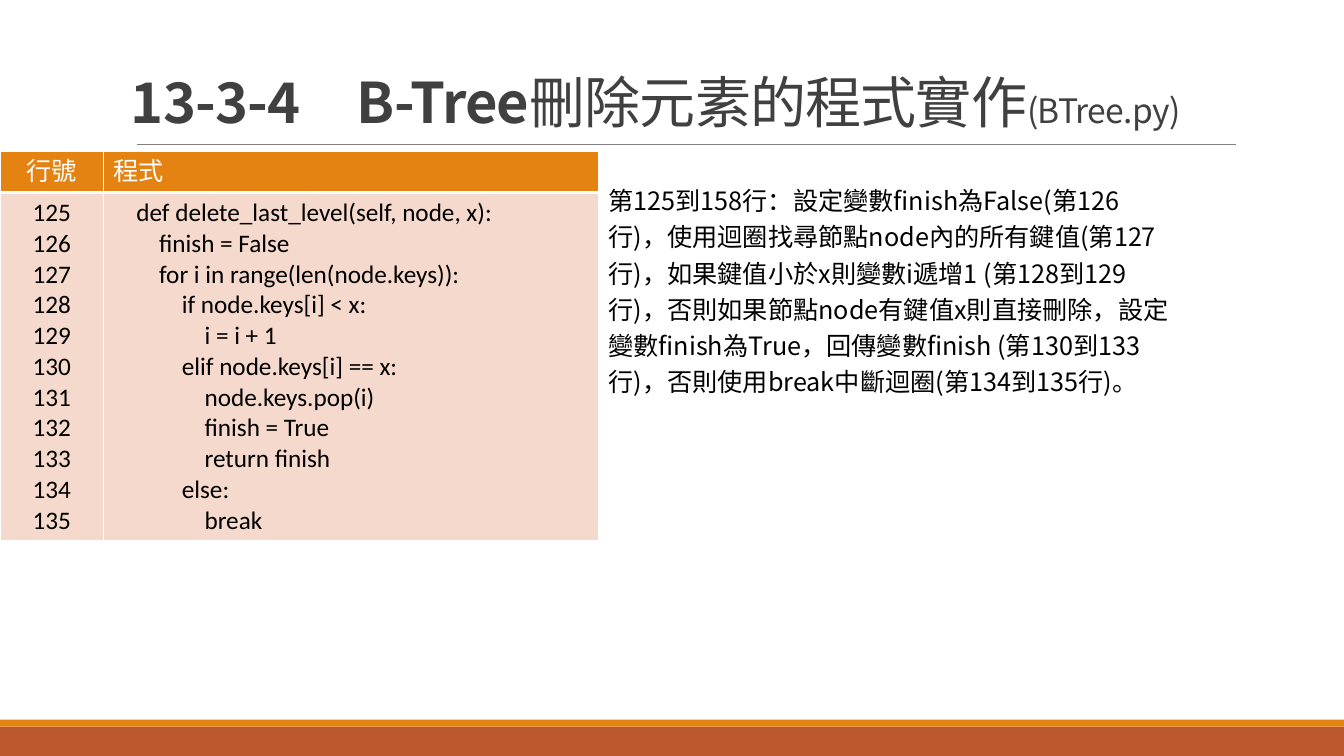
from lxml import etree
from pptx import Presentation
from pptx import util as u
from pptx.dml.color import RGBColor
from pptx.enum import shapes, text
from pptx.oxml.ns import qn

SANS = "Noto Sans CJK SC"
ORANGE, RUST, PEACH = "E48312", "BD582C", "F5D9CC"
WHITE, BLACK, GREY, DARK = "FFFFFF", "000000", "808080", "404040"
LEFT, CENTER = text.PP_ALIGN.LEFT, text.PP_ALIGN.CENTER


def color(value):
    return RGBColor.from_string(value)


class Page:
    """Holds the slide and the way its elements are styled."""

    def __init__(self, slide):
        self.shapes = slide.shapes

    def run(self, paragraph, words, ink, font=SANS, spacing=None, **formats):
        run = paragraph.add_run()
        run.text = words
        for name, value in {"name": font, "bold": False, **formats}.items():
            setattr(run.font, name, value)
        run.font.color.rgb = color(ink)
        properties = run.font._element
        etree.SubElement(properties, qn("a:ea")).set("typeface", font)
        if spacing is not None:
            properties.set("spc", str(round(spacing * 100)))

    def band(self, top, height, fill):
        band = self.shapes.add_shape(shapes.MSO_SHAPE.RECTANGLE, 0, u.Pt(top),
                                     u.Pt(960), u.Pt(height))
        band.shadow.inherit = False
        band.fill.solid()
        band.fill.fore_color.rgb = color(fill)
        band.line.fill.background()

    def rule(self, left, right, y, ink, width):
        rule = self.shapes.add_connector(shapes.MSO_CONNECTOR.STRAIGHT,
                                         u.Pt(left), u.Pt(y), u.Pt(right), u.Pt(y))
        rule.line.color.rgb = color(ink)
        rule.line.width = u.Pt(width)
        etree.SubElement(rule._element.spPr, qn("a:effectLst"))

    def text_box(self, box, runs, paragraph_formats, **frame_formats):
        frame = self.shapes.add_textbox(*map(u.Pt, box)).text_frame
        for name, value in {"word_wrap": True, **frame_formats}.items():
            setattr(frame, name, value)
        paragraph = frame.paragraphs[0]
        for name, value in paragraph_formats.items():
            setattr(paragraph, name, value)
        for words, formats in runs:
            self.run(paragraph, words, **formats)

    def cell(self, cell, lines, align, fill, ink, bottom):
        frame = cell.text_frame
        for index, line in enumerate(lines):
            paragraph = frame.add_paragraph() if index else frame.paragraphs[0]
            paragraph.alignment = align
            self.run(paragraph, line, ink, "Calibri", size=u.Pt(18))
        # Borders come before the fill in the cell properties
        properties = cell._tc.get_or_add_tcPr()
        for side, width in {"L": 1, "R": 1, "T": 1, "B": bottom}.items():
            border = etree.SubElement(properties, qn("a:ln" + side), w=str(u.Pt(width)))
            solid = etree.SubElement(border, qn("a:solidFill"))
            etree.SubElement(solid, qn("a:srgbClr"), val=WHITE)
        cell.fill.solid()
        cell.fill.fore_color.rgb = color(fill)

    def table(self, box, widths, heights, rows, aligns, row_formats):
        table = self.shapes.add_table(len(rows), len(widths), *map(u.Pt, box)).table
        table.first_row = table.horz_banding = False
        for column, width in zip(table.columns, widths):
            column.width = u.Pt(width)
        for row, height, contents, formats in zip(table.rows, heights, rows, row_formats):
            row.height = u.Pt(height)
            for cell, lines, align in zip(row.cells, contents, aligns):
                self.cell(cell, lines, align, **formats)


CODE = """\
    def delete_last_level(self, node, x):
        finish = False
        for i in range(len(node.keys)):
            if node.keys[i] < x:
                i = i + 1
            elif node.keys[i] == x:
                node.keys.pop(i)
                finish = True
                return finish
            else:
                break""".split("\n")
LINE_NUMBERS = [str(125 + offset) for offset in range(len(CODE))]

EXPLANATION = (
    "第125到158行：設定變數finish為False(第126行)，使用迴圈找尋節點node內的所有鍵值"
    "(第127行)，如果鍵值小於x則變數i遞增1 (第128到129行)，否則如果節點node有鍵值x則"
    "直接刪除，設定變數finish為True，回傳變數finish (第130到133行)，否則使用break中斷"
    "迴圈(第134到135行)。")


def main():
    deck = Presentation()
    deck.slide_width, deck.slide_height = u.Pt(960), u.Pt(540)
    page = Page(deck.slides.add_slide(deck.slide_layouts[6]))

    # Footer bands and the rule under the title
    page.band(519, 21, RUST)
    page.band(514, 5, ORANGE)
    page.rule(98, 883, 103, GREY, 0.5)

    # Code listing
    page.table((0, 108, 427.5, 274.5), (74, 353.5), (29.5, 245),
               [(["行號"], ["程式"]), (LINE_NUMBERS, CODE)], (CENTER, LEFT),
               [{"fill": ORANGE, "ink": WHITE, "bottom": 3},
                {"fill": PEACH, "ink": BLACK, "bottom": 1}])

    # Explanation
    page.text_box((427.5, 124.5, 415.5, 162),
                  [(EXPLANATION, {"ink": BLACK, "size": u.Pt(18)})],
                  {"line_spacing": 1.2, "space_after": u.Pt(3)},
                  auto_size=text.MSO_AUTO_SIZE.SHAPE_TO_FIT_TEXT)

    # Title
    heading = {"ink": DARK, "size": u.Pt(40), "spacing": -0.5}
    page.text_box((86.4, 22.3, 792, 77.8),
                  [("13-3-4　B-Tree", {**heading, "bold": True}),
                   ("刪除元素的程式實作", heading),
                   ("(BTree.py)", {**heading, "size": u.Pt(24)})],
                  {"line_spacing": 0.85},
                  vertical_anchor=text.MSO_ANCHOR.BOTTOM)

    deck.save("out.pptx")


if __name__ == "__main__":
    main()
